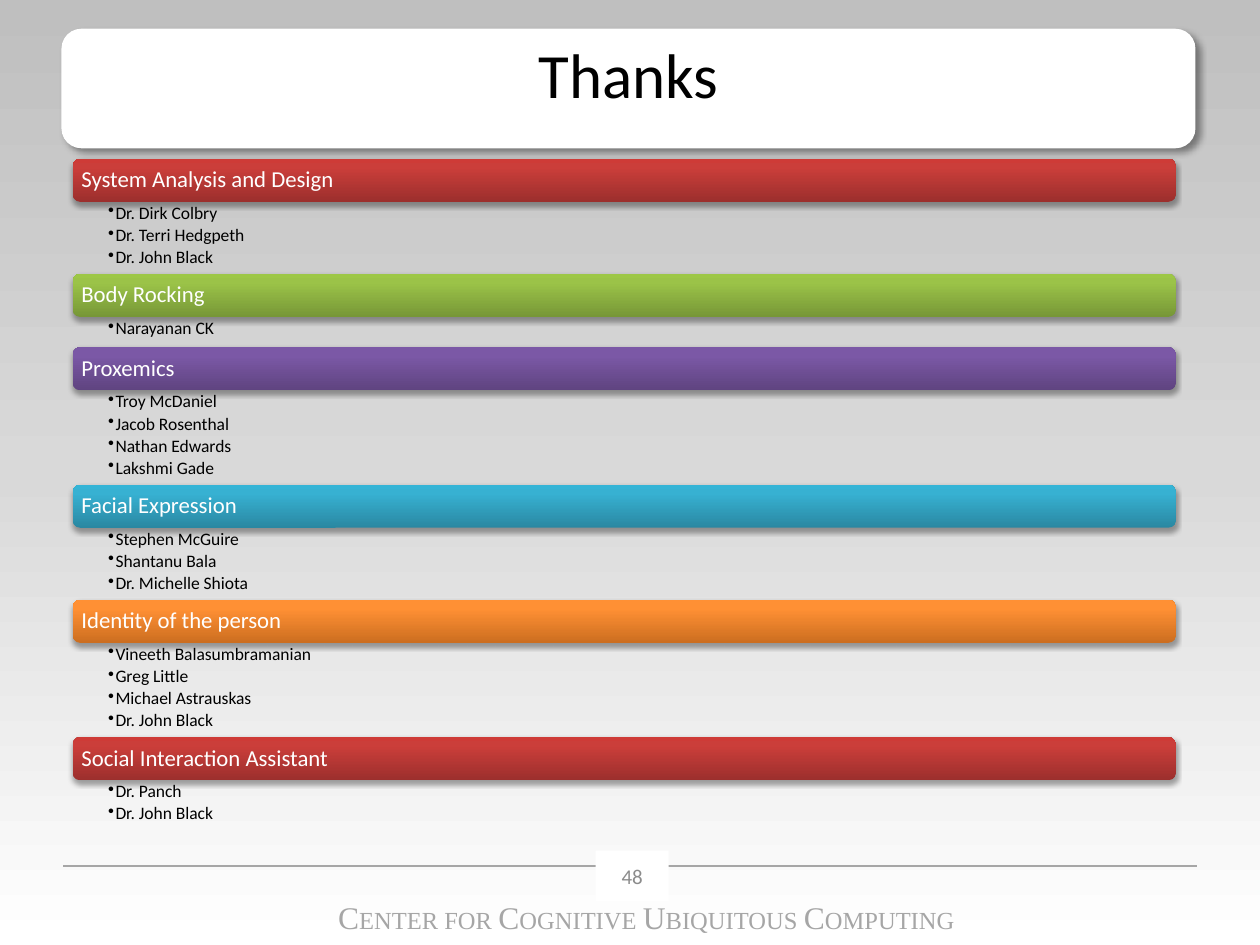
from lxml import etree
from pptx import Presentation
from pptx.dml.color import RGBColor
from pptx.enum import shapes, text
from pptx.oxml.ns import qn
from pptx.util import Cm, Pt

BLACK = RGBColor(0, 0, 0)
WHITE = RGBColor(0xFF, 0xFF, 0xFF)
FOOTER_GRAY = RGBColor(0xA6, 0xA6, 0xA6)
NUMBER_GRAY = RGBColor(0x8C, 0x8C, 0x8C)


def stops(*pairs):
    return [(position, RGBColor.from_string(color)) for position, color in pairs]


BACKDROP = stops((0, "BFBFBF"), (50, "D9D9D9"), (100, "FFFFFF"))
RED = stops((0, "9C2F2D"), (80, "CB3E3A"), (100, "CE3B37"))
GREEN = stops((0, "779737"), (80, "9BC348"), (100, "9DC746"))
PURPLE = stops((0, "5F4480"), (80, "7B58A6"), (100, "7C57A8"))
BLUE = stops((0, "2A88A2"), (80, "37B1D2"), (100, "34B4D6"))
ORANGE = stops((0, "CC6E20"), (80, "FF9034"), (100, "FF9136"))

SECTIONS = [
    ("System Analysis and Design", RED,
     ["Dr. Dirk Colbry", "Dr. Terri Hedgpeth", "Dr. John Black"]),
    ("Body Rocking", GREEN, ["Narayanan CK"]),
    ("Proxemics", PURPLE,
     ["Troy McDaniel", "Jacob Rosenthal", "Nathan Edwards", "Lakshmi Gade"]),
    ("Facial Expression", BLUE,
     ["Stephen McGuire", "Shantanu Bala", "Dr. Michelle Shiota"]),
    ("Identity of the person", ORANGE,
     ["Vineeth Balasumbramanian", "Greg Little", "Michael Astrauskas", "Dr. John Black"]),
    ("Social Interaction Assistant", RED, ["Dr. Panch", "Dr. John Black"]),
]
# Height in cm of a list, by its number of names
LIST_HEIGHTS = {1: 0.61, 2: 0.97, 3: 1.45, 4: 1.9}
LIST_LEFT, LIST_TOP, LIST_WIDTH, BAR_HEIGHT = 1.47, 3.2, 22.23, 0.87
TITLE_BOX = (1.24, 0.58, 22.86, 2.41)


def cm(*lengths):
    return [Cm(length) for length in lengths]


def add_element(parent, tag, **attributes):
    return etree.SubElement(parent, qn(tag), {k: str(v) for k, v in attributes.items()})


def add_bullet(paragraph):
    properties = paragraph._p.get_or_add_pPr()
    properties.set("marL", str(Cm(0.15)))
    properties.set("indent", str(-Cm(0.15)))
    add_element(properties, "a:buChar", char="•")


def write(frame, lines, size, color, font="Calibri", align=text.PP_ALIGN.LEFT,
          anchor=text.MSO_ANCHOR.TOP, insets=(0.25, 0.13, 0.25, 0.13),
          bullets=False, spacing=None, after=0):
    """Fill a frame; each line is a string or a list of (string, size) runs."""
    frame.word_wrap = True
    frame.vertical_anchor = anchor
    (frame.margin_left, frame.margin_top,
     frame.margin_right, frame.margin_bottom) = cm(*insets)
    for index, line in enumerate(lines):
        paragraph = frame.add_paragraph() if index else frame.paragraphs[0]
        if bullets:
            add_bullet(paragraph)
        paragraph.alignment = align
        paragraph.space_after = Pt(after)
        if spacing:
            paragraph.line_spacing = spacing
        for words, run_size in [(line, size)] if isinstance(line, str) else line:
            run = paragraph.add_run()
            run.text = words
            run.font.name = font
            run.font.size = Pt(run_size)
            run.font.color.rgb = color


def add_panel(slide, box, fill, angle=0, rounded=False, shadow=None):
    """Add a rectangle; fill is a colour or gradient stops."""
    kind = shapes.MSO_SHAPE.ROUNDED_RECTANGLE if rounded else shapes.MSO_SHAPE.RECTANGLE
    panel = slide.shapes.add_shape(kind, *cm(*box))
    panel.line.fill.background()
    panel.shadow.inherit = False
    properties = panel.element.spPr
    if isinstance(fill, RGBColor):
        panel.fill.solid()
        panel.fill.fore_color.rgb = fill
    else:
        panel.fill.background()
        gradient = etree.Element(qn("a:gradFill"), rotWithShape="1")
        stop_list = add_element(gradient, "a:gsLst")
        for position, color in fill:
            stop = add_element(stop_list, "a:gs", pos=position * 1000)
            add_element(stop, "a:srgbClr", val=color)
        add_element(gradient, "a:lin", ang=angle * 60000, scaled=0)
        properties.replace(properties.find(qn("a:noFill")), gradient)
    if shadow:
        opacity, blur, distance, direction = shadow
        outer = add_element(properties.find(qn("a:effectLst")), "a:outerShdw",
                            blurRad=Pt(blur), dist=Pt(distance),
                            dir=direction * 60000, algn="tl", rotWithShape=0)
        color = add_element(outer, "a:srgbClr", val=BLACK)
        add_element(color, "a:alpha", val=opacity * 1000)
    return panel


def add_title(slide, words):
    add_panel(slide, TITLE_BOX, WHITE, rounded=True, shadow=(40, 4, 3, 45))
    title = slide.shapes.title
    title.left, title.top, title.width, title.height = cm(*TITLE_BOX)
    write(title.text_frame, [words], 36, BLACK, align=text.PP_ALIGN.CENTER)
    # Bring the title in front of its panel
    slide.shapes.element.append(title.element)


def add_footer(slide):
    rule = slide.shapes.add_connector(shapes.MSO_CONNECTOR.STRAIGHT,
                                      *cm(1.27, 17.46, 24.13, 17.46))
    rule.line.color.rgb = FOOTER_GRAY
    rule.line.width = Pt(0.75)
    add_element(rule.element.spPr, "a:effectLst")

    center_name = slide.shapes.add_textbox(*cm(5.51, 17.98, 15.04, 1.02))
    words = ["Center for ", "Cognitive ", "Ubiquitous ", "Computing"]
    runs = [run for word in words
            for run in ((word[0], 18), (word[1:].upper(), 14))]
    write(center_name.text_frame, [runs], 14, FOOTER_GRAY,
          font="Times New Roman", align=text.PP_ALIGN.CENTER)

    page_number = add_panel(slide, (12.01, 17.15, 1.47, 1.02), WHITE)
    write(page_number.text_frame, ["48"], 12, NUMBER_GRAY,
          align=text.PP_ALIGN.CENTER, anchor=text.MSO_ANCHOR.MIDDLE)


def add_section(slide, top, heading, colors, names):
    """Add a heading bar with its names below; return the next top."""
    bar = add_panel(slide, (LIST_LEFT, top, LIST_WIDTH, BAR_HEIGHT), colors,
                    angle=270, rounded=True, shadow=(35, 3.1, 1.8, 90))
    write(bar.text_frame, [heading], 13, WHITE, anchor=text.MSO_ANCHOR.MIDDLE,
          insets=(0.13, 0.13, 0.13, 0.13), spacing=0.9)
    top += BAR_HEIGHT
    height = LIST_HEIGHTS[len(names)]
    people = slide.shapes.add_textbox(*cm(LIST_LEFT, top, LIST_WIDTH, height))
    write(people.text_frame, names, 10, BLACK, insets=(0.71, 0.05, 0.25, 0.05),
          bullets=True, spacing=0.9, after=1.8)
    return top + height


def main():
    deck = Presentation()
    deck.slide_width, deck.slide_height = cm(25.4, 19.05)
    slide = deck.slides.add_slide(deck.slide_layouts[5])

    # Backdrop, title and footer
    add_panel(slide, (0, 0, 25.4, 19.05), BACKDROP, angle=90)
    add_title(slide, "Thanks")
    add_footer(slide)

    # Stacked sections of people
    top = LIST_TOP
    for heading, colors, names in SECTIONS:
        top = add_section(slide, top, heading, colors, names)

    deck.save("out.pptx")


if __name__ == "__main__":
    main()
